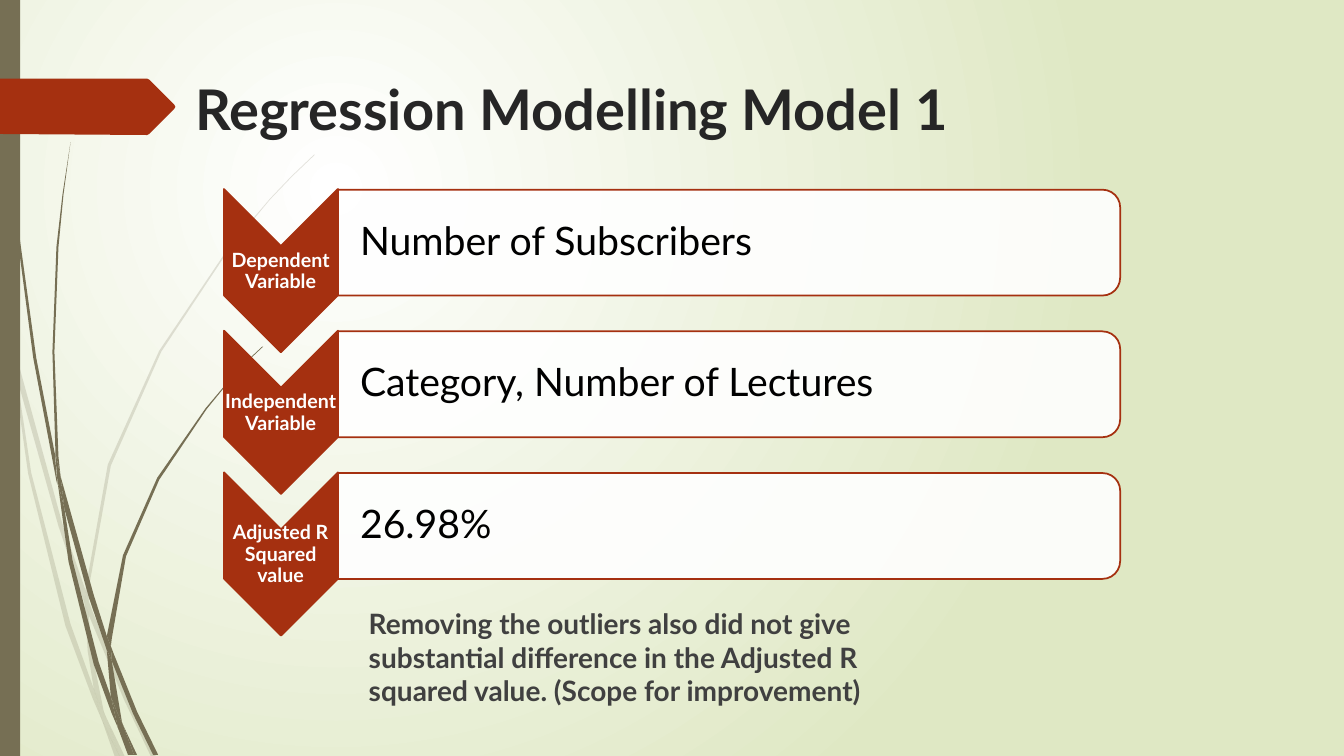
from lxml import etree
from pptx import Presentation
from pptx import util as u
from pptx.dml.color import RGBColor
from pptx.enum import shapes, text
from pptx.oxml.ns import qn

Pt = u.Pt
RUST = RGBColor(0xA5, 0x30, 0x10)
OLIVE = RGBColor(0x76, 0x6F, 0x54)
WHITE = RGBColor(0xFF, 0xFF, 0xFF)
SAGE = RGBColor(0xDF, 0xE8, 0xC4)
BLACK = RGBColor(0, 0, 0)
TITLE = RGBColor(0x26, 0x26, 0x26)
BODY = RGBColor(0x40, 0x40, 0x40)

GRID = 0.72  # points per unit of the outline coordinates below

# Outlines as flat x, y lists in grid units
PALE_GRASS = [
    (11, 350, 9, 322, 0, 282, 0, 299, 10, 344),
    (58, 522, 84, 599, 85, 586, 62, 520, 14, 345, 17, 376),
    (92, 607, 88, 596, 88, 610, 123, 694, 150, 751, 155, 751, 127, 692),
    (119, 751, 124, 751, 105, 711),
    (93, 683, 70, 619, 31, 469, 17, 376, 11, 350, 28, 470, 65, 621, 92, 693,
     101, 714, 99, 707),
    (84, 599, 87, 646, 93, 683, 96, 692, 105, 711, 103, 706, 91, 646, 88, 610,
     88, 608),
    (88, 584, 110, 462, 160, 349, 229, 245, 268, 198, 290, 175, 312, 154,
     312, 153, 289, 175, 268, 197, 228, 244, 158, 348, 107, 461, 85, 584,
     85, 586, 88, 596),
    (101, 714, 114, 751, 119, 751),
    (88, 608, 88, 610, 88, 596, 85, 586, 84, 599),
    (96, 692, 93, 683, 99, 707, 101, 714, 119, 751, 105, 711),
]
DARK_GRASS = [
    (7, 110, 17, 233, 33, 355, 56, 477, 57, 481, 55, 457, 55, 453, 36, 355,
     19, 232, 8, 109, 5, 48, 4, 0, 3, 0, 4, 48),
    (88, 592, 106, 645, 106, 633, 106, 631, 93, 590, 60, 472, 64, 505),
    (113, 649, 110, 641, 111, 656, 132, 708, 152, 749, 157, 749, 136, 706),
    (110, 691, 98, 657, 72, 556, 64, 505, 57, 477, 68, 557, 93, 659, 111, 708,
     117, 722, 116, 717),
    (60, 472, 58, 453, 54, 349, 58, 245, 63, 193, 70, 141, 62, 193, 56, 245,
     52, 349, 55, 449),
    (133, 749, 136, 749, 122, 719),
    (57, 477, 64, 505, 60, 472, 55, 449, 55, 453),
    (111, 633, 125, 552, 158, 476, 205, 406, 231, 374, 245, 359, 261, 344,
     260, 344, 245, 358, 231, 373, 204, 405, 156, 474, 122, 551, 106, 631,
     110, 641),
    (117, 722, 127, 749, 131, 749),
    (106, 645, 110, 691, 116, 706, 122, 719, 121, 716, 111, 656, 109, 651),
    (106, 645, 109, 651, 111, 656, 110, 641, 106, 631, 106, 633),
    (116, 706, 110, 691, 116, 717, 117, 722, 130, 749, 133, 749, 122, 719),
]
TITLE_TAG = (0, 78, 146, 78, 148, 79, 173, 104, 174, 106, 173, 108, 148, 133,
             146, 134, 0, 133)

ROWS = [
    ("Dependent Variable", "Number of Subscribers"),
    ("Independent Variable", "Category, Number of Lectures"),
    ("Adjusted R Squared value", "26.98%"),
]
ROW_STEP = 101.2


def write(tf, words, size=20, color=BLACK, bold=False, align=text.PP_ALIGN.LEFT,
          spacing=None, before=0):
    p = tf.paragraphs[0]
    p.alignment, p.line_spacing, p.space_before = align, spacing, Pt(before)
    r = p.add_run()
    r.text = words
    r.font.name, r.font.size, r.font.bold = "Lato", Pt(size), bold
    r.font.color.rgb = color


class Deck:
    font_anchor = text.MSO_ANCHOR.TOP

    def __init__(self, prs):
        self.s = prs.slides.add_slide(prs.slide_layouts[6])

    def background(self, inner, outer):
        fill = self.s.background.fill
        fill.gradient()
        for stop, color in zip(fill.gradient_stops, (inner, outer)):
            stop.color.rgb = color
        grad = next(self.s._element.iter(qn("a:gradFill")))
        for lin in grad.findall(qn("a:lin")):
            grad.remove(lin)
        glow = etree.SubElement(grad, qn("a:path"), path="circle")
        etree.SubElement(glow, qn("a:fillToRect"), l="50000", t="50000",
                         r="100000", b="100000")

    def paint(self, sp, color, alpha=100, line=None):
        sp.shadow.inherit = False
        sp.fill.solid()
        sp.fill.fore_color.rgb = color
        if alpha < 100:
            clr = sp._element.spPr.find(qn("a:solidFill"))[0]
            etree.SubElement(clr, qn("a:alpha"), val=str(alpha * 1000))
        if line is None:
            sp.line.fill.background()
        else:
            sp.line.color.rgb = line
            sp.line.width = Pt(1.25)
        return sp

    def outline(self, coords, color, alpha=100):
        pts = list(zip(coords[::2], coords[1::2]))
        fb = self.s.shapes.build_freeform(*pts[0], scale=Pt(GRID))
        fb.add_line_segments(pts[1:], close=True)
        return self.paint(fb.convert_to_shape(), color, alpha)

    def shape(self, kind, x, y, w, h, color, turned=False, **look):
        """x, y, w, h is the box as seen, also when turned a quarter."""
        if turned:
            x, y, w, h = x + (w - h) / 2, y + (h - w) / 2, h, w
        sp = self.s.shapes.add_shape(kind, Pt(x), Pt(y), Pt(w), Pt(h))
        sp.rotation = 90 if turned else 0
        return self.paint(sp, color, **look)

    def text(self, words, x, y, w, h, inset=(7.2, 3.6, 7.2, 3.6),
             anchor=font_anchor, **fmt):
        tf = self.s.shapes.add_textbox(Pt(x), Pt(y), Pt(w), Pt(h)).text_frame
        tf.word_wrap, tf.vertical_anchor = True, anchor
        (tf.margin_left, tf.margin_top,
         tf.margin_right, tf.margin_bottom) = map(Pt, inset)
        write(tf, words, **fmt)


prs = Presentation()
prs.slide_width, prs.slide_height = Pt(960), Pt(540)
deck = Deck(prs)
kinds = shapes.MSO_SHAPE

# Backdrop: glow, grass, side bar and title tag
deck.background(WHITE, SAGE)
for blades, alpha in ((PALE_GRASS, 20), (DARK_GRASS, 100)):
    for blade in blades:
        deck.outline(blade, OLIVE, alpha)
deck.shape(kinds.RECTANGLE, 0, 0, 14.4, 540, OLIVE)
deck.outline(TITLE_TAG, RUST)

# Title and closing remark
deck.text("Regression Modelling Model 1", 132.5, 49.7, 758.9, 100.8,
          size=40, color=TITLE, bold=True)
deck.text("Removing the outliers also did not give substantial difference in "
          "the Adjusted R squared value. (Scope for improvement)",
          256.3, 429.8, 370.8, 100, color=BODY, bold=True, before=10)

# Chevron list
for i, (label, value) in enumerate(ROWS):
    y = 135 + i * ROW_STEP
    deck.shape(kinds.CHEVRON, 160, y, 81.4, 116.6, RUST, turned=True, line=RUST)
    deck.text(label, 159.8, y + 41.2, 81.4, 35.3, inset=[0.7] * 4,
              anchor=text.MSO_ANCHOR.MIDDLE, size=14, color=WHITE, bold=True,
              align=text.PP_ALIGN.CENTER, spacing=0.9)
    deck.shape(kinds.ROUND_2_SAME_RECTANGLE, 241.4, y + 0.5, 558.7, 75.6, WHITE,
               turned=True, alpha=90, line=RUST)
    deck.text(value, 241.4, y + 4, 555.1, 68.4, inset=(15.8, 1.4, 1.4, 1.4),
              anchor=text.MSO_ANCHOR.MIDDLE, size=28, spacing=0.9)

prs.save("out.pptx")
